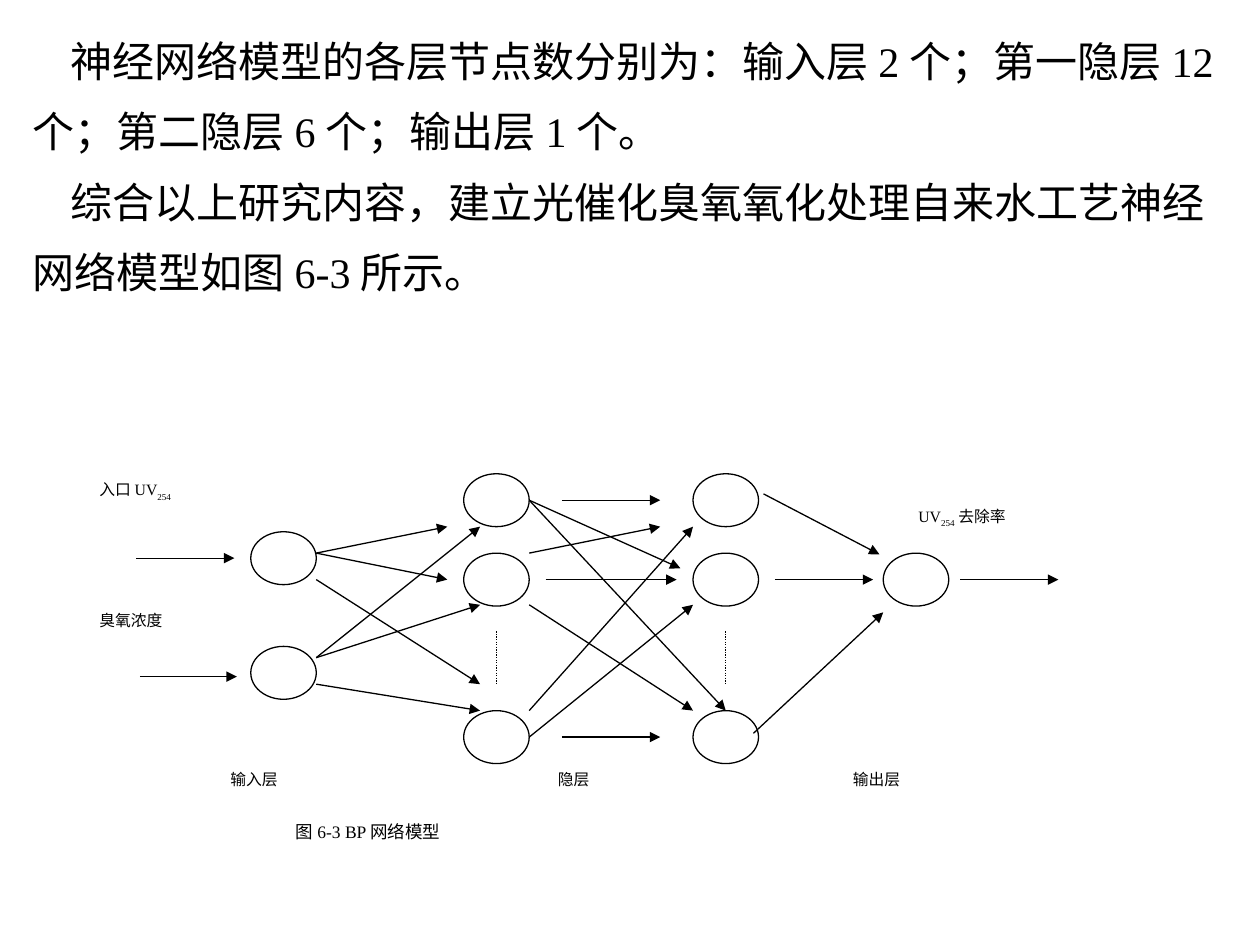
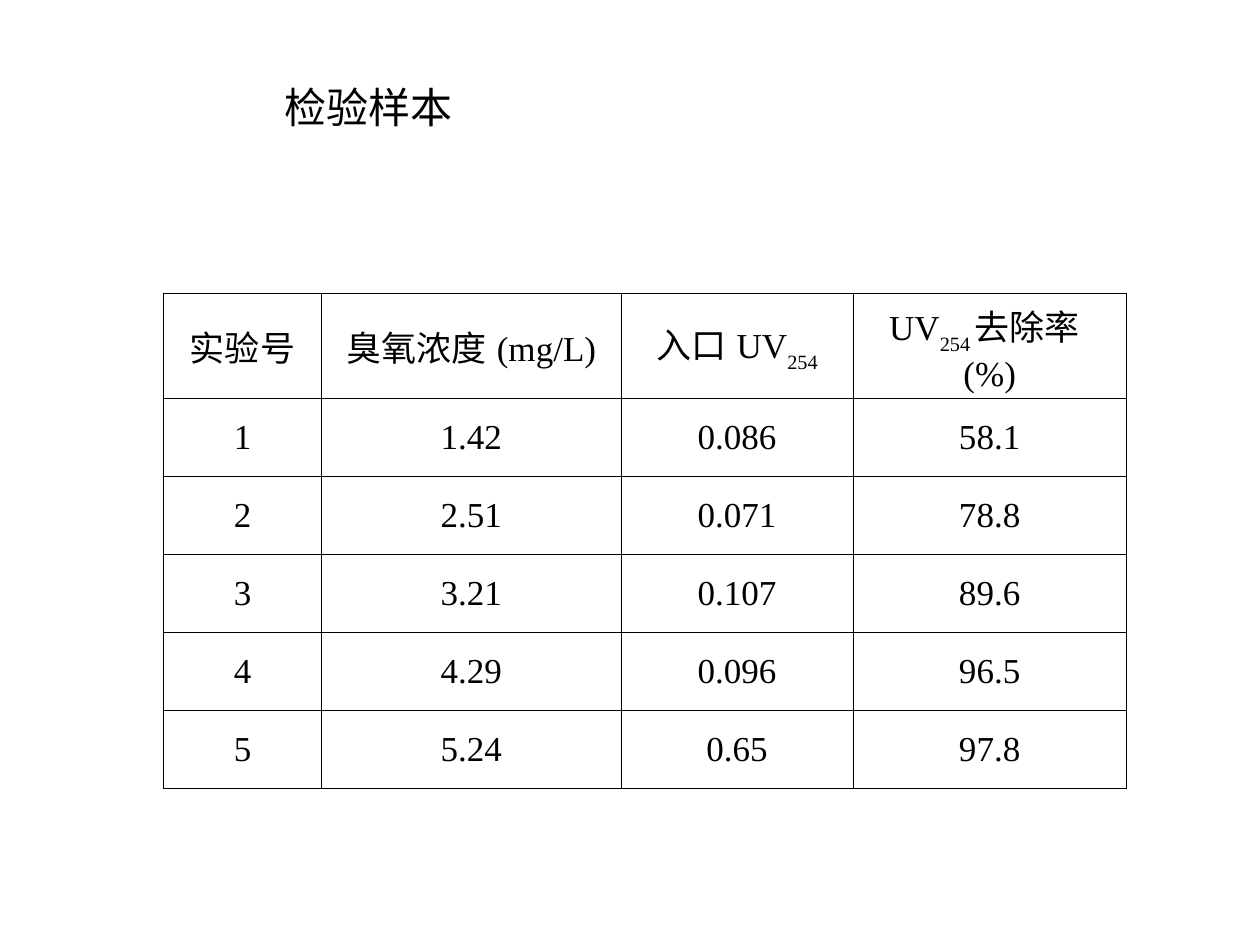
from dataclasses import dataclass
from itertools import product

from lxml.etree import SubElement
from pptx import Presentation
from pptx.dml.color import RGBColor
from pptx.enum.dml import MSO_LINE
from pptx.enum.shapes import MSO_CONNECTOR, MSO_SHAPE
from pptx.enum.text import MSO_ANCHOR, PP_ALIGN
from pptx.oxml import parse_xml
from pptx.oxml.ns import nsdecls, qn
from pptx.util import Emu, Pt

PX = 9144


@dataclass(frozen=True)
class Theme:
    """Colours, type sizes and line widths of the deck."""
    ink: str = "000000"
    paper: str = "FFFFFF"
    font: str = "Times New Roman"
    body: int = 24
    cell: int = 20
    caption: int = 10
    label: int = 9
    stroke: float = 0.75
    border: float = 0.4


THEME = Theme()

NODE_SIZE = (52, 42)
HIDDEN_ROWS = (0, 63, 188)
LAYERS = {130: (46, 137), 299: HIDDEN_ROWS, 481: HIDDEN_ROWS, 632: (63,)}
ARROWS = {
    "inputs": [(39, 67, 117, 67), (42, 161, 119, 161)],
    "input to first hidden": [
        (182, 63, 286, 42), (182, 63, 286, 84), (182, 84, 312, 167),
        (182, 146, 312, 42), (182, 146, 312, 104), (182, 167, 312, 188),
    ],
    "first to second hidden": [
        (377, 21, 455, 21), (364, 84, 468, 84), (377, 209, 455, 209),
        (351, 21, 471, 75), (351, 21, 507, 188), (351, 63, 455, 42),
        (351, 104, 481, 188), (351, 188, 481, 42), (351, 209, 481, 104),
    ],
    "second hidden to output": [
        (537, 16, 629, 64), (546, 84, 624, 84), (529, 206, 632, 110),
    ],
    "output": [(693, 84, 771, 84)],
}
LABELS = [
    ("入口UV|254", (0, 0, 185, 63)),
    ("臭氧浓度", (0, 104, 156, 63)),
    ("UV|254|去除率", (650, 21, 222, 63)),
    ("输入层", (104, 230, 130, 63)),
    ("隐层", (364, 230, 130, 63)),
    ("输出层", (598, 230, 130, 63)),
]
BODY = [
    "神经网络模型的各层节点数分别为：输入层2个；第一隐层12个；第二隐层6个；输出层1个。",
    "综合以上研究内容，建立光催化臭氧氧化处理自来水工艺神经网络模型如图6-3所示。",
]
COLUMNS = (125, 238, 184, 217)
ROWS = (83,) + (62,) * 5
SAMPLES = [
    ("实验号", "臭氧浓度(mg/L)", "入口UV|254", "UV|254|去除率(%)"),
    ("1", "1.42", "0.086", "58.1"),
    ("2", "2.51", "0.071", "78.8"),
    ("3", "3.21", "0.107", "89.6"),
    ("4", "4.29", "0.096", "96.5"),
    ("5", "5.24", "0.65", "97.8"),
]


def color(value):
    """Turn a hex string into a colour."""
    return RGBColor.from_string(value)


def emu(*lengths):
    """Scale px lengths to EMU."""
    return [Emu(length * PX) for length in lengths]


def inside(box, part):
    """Place a part relative to the corner of its box."""
    return (box[0] + part[0], box[1] + part[1], *part[2:])


def apply(target, formats):
    """Set attributes from a dict of format values."""
    for name, value in formats.items():
        setattr(target, name, value)


def write(para, text, size):
    """Write text whose odd parts, split at bars, are subscripts."""
    for index, part in enumerate(text.split("|")):
        span = para.add_run()
        span.text = part
        apply(span.font, {"name": THEME.font, "size": Pt(size)})
        span.font.color.rgb = color(THEME.ink)
        if index % 2:
            span.font._element.set("baseline", "-30000")


def add_text(page, box, lines, size, indent=0, **formats):
    """Add a wrapping text box with one paragraph per line."""
    frame = page.shapes.add_textbox(*emu(*box)).text_frame
    frame.word_wrap = True
    for index, line in enumerate(lines):
        para = frame.add_paragraph() if index else frame.paragraphs[0]
        apply(para, formats)
        if indent:
            para._p.get_or_add_pPr().set("indent", str(indent * PX))
        write(para, line, size)


def add_node(page, box):
    """Draw one neuron."""
    node = page.shapes.add_shape(MSO_SHAPE.OVAL, *emu(*box))
    node.shadow.inherit = False
    node.fill.solid()
    node.fill.fore_color.rgb = color(THEME.paper)
    node.line.color.rgb = color(THEME.ink)
    node.line.width = Pt(THEME.stroke)


def add_line(page, box, ends, arrow=True):
    """Draw an arrow, or a dotted line, within the box."""
    start, finish = inside(box, ends[:2]), inside(box, ends[2:])
    link = page.shapes.add_connector(MSO_CONNECTOR.STRAIGHT, *emu(*start, *finish))
    link.line.color.rgb = color(THEME.ink)
    link.line.width = Pt(THEME.stroke)
    if arrow:
        SubElement(link.line._get_or_add_ln(), qn("a:tailEnd"), type="triangle")
    else:
        link.line.dash_style = MSO_LINE.ROUND_DOT
    SubElement(link._element.spPr, qn("a:effectLst"))


def draw_network(page, box):
    """Draw the neurons, their links and the labels."""
    for text, part in LABELS:
        add_text(page, inside(box, part), [text], THEME.label)
    add_text(page, inside(box, (156, 271, 519, 90)), ["图6-3 BP网络模型"], THEME.caption)
    for left, tops in LAYERS.items():
        for top in tops:
            add_node(page, inside(box, (left, top, *NODE_SIZE)))
    for ends in sum(ARROWS.values(), []):
        add_line(page, box, ends)
    for center in (325, 507):
        add_line(page, box, (center, 125, center, 167), arrow=False)


def set_borders(cell):
    """Rule all four sides of a cell."""
    properties = cell._tc.get_or_add_tcPr()
    for index, side in enumerate("LRTB"):
        properties.insert(index, parse_xml(
            f'<a:ln{side} {nsdecls("a")} w="{Pt(THEME.border)}"><a:solidFill>'
            f'<a:srgbClr val="{THEME.ink}"/></a:solidFill></a:ln{side}>'))


def draw_samples(page, box):
    """Draw the table of test samples."""
    table = page.shapes.add_table(len(ROWS), len(COLUMNS), *emu(*box)).table
    apply(table, {"first_row": False, "horz_banding": False})
    for column, width in zip(table.columns, emu(*COLUMNS)):
        column.width = width
    for row, height in zip(table.rows, emu(*ROWS)):
        row.height = height
    for row, column in product(range(len(ROWS)), range(len(COLUMNS))):
        cell = table.cell(row, column)
        cell.vertical_anchor = MSO_ANCHOR.MIDDLE
        cell.fill.background()
        set_borders(cell)
        para = cell.text_frame.paragraphs[0]
        para.alignment = PP_ALIGN.CENTER
        write(para, SAMPLES[row][column], THEME.cell)


def build_model_page(page):
    """Build the slide on the network model."""
    add_text(page, (16, 7, 973, 274), BODY, THEME.body, indent=30, line_spacing=1.4)
    draw_network(page, (69, 376, 872, 361))


def build_sample_page(page):
    """Build the slide with the test samples."""
    add_text(page, (216, 60, 484, 90), ["检验样本"], THEME.body)
    draw_samples(page, (130, 233, sum(COLUMNS), sum(ROWS)))


def main():
    """Build and save the deck."""
    deck = Presentation()
    deck.slide_width, deck.slide_height = emu(1000, 750)
    for build in (build_model_page, build_sample_page):
        page = deck.slides.add_slide(deck.slide_layouts[6])
        page.background.fill.solid()
        page.background.fill.fore_color.rgb = color(THEME.paper)
        build(page)
    deck.save("out.pptx")


if __name__ == "__main__":
    main()
